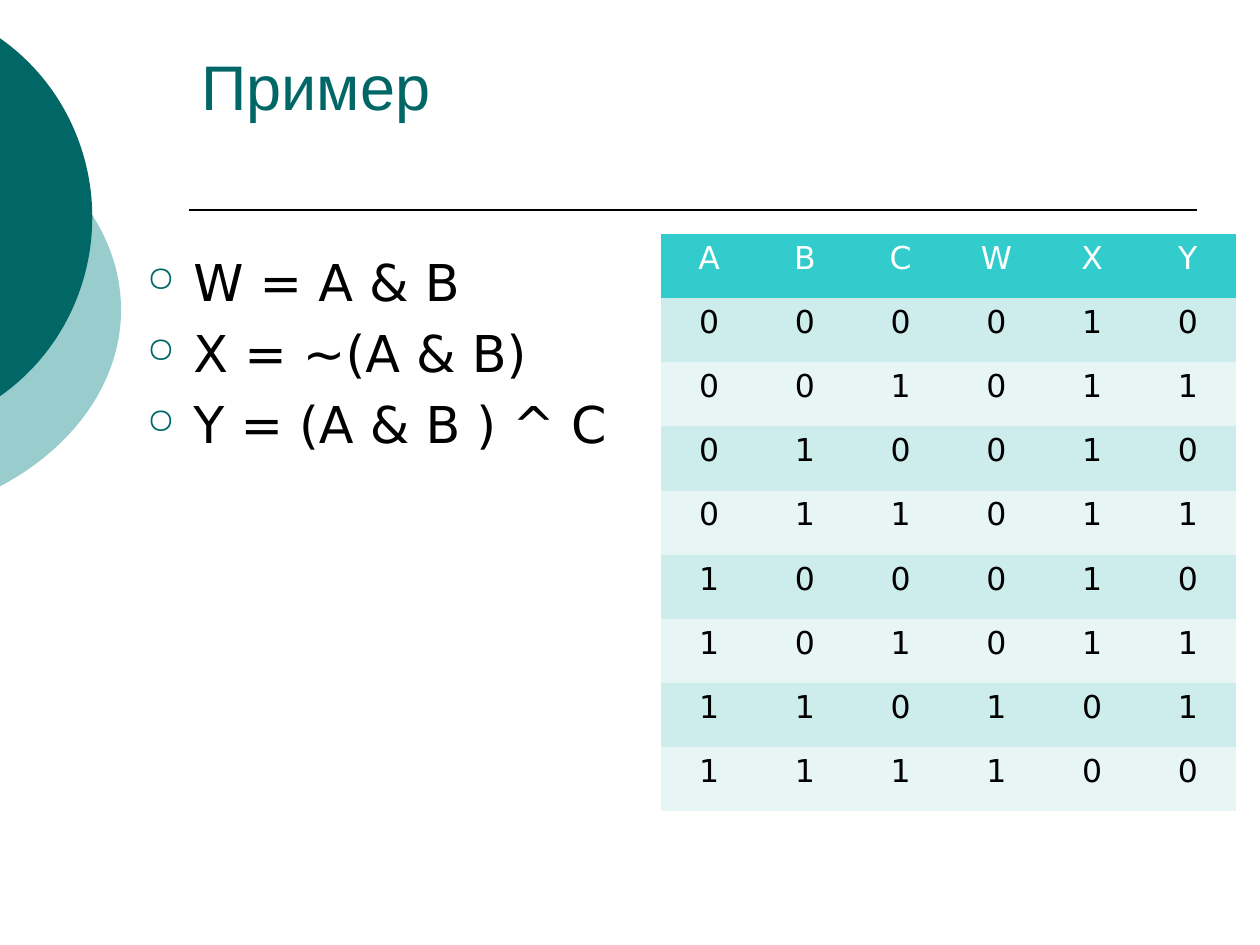
from dataclasses import dataclass
from itertools import product

from lxml import etree
from pptx import Presentation
from pptx.dml.color import RGBColor
from pptx.enum.shapes import MSO_CONNECTOR, MSO_SHAPE
from pptx.enum.text import MSO_ANCHOR, PP_ALIGN
from pptx.oxml.ns import qn
from pptx.util import Cm, Pt

OVAL = MSO_SHAPE.OVAL
LINE = MSO_CONNECTOR.STRAIGHT
TOP = MSO_ANCHOR.TOP
CENTER = PP_ALIGN.CENTER

TEAL = RGBColor(0x00, 0x66, 0x66)
MIST = RGBColor(0x99, 0xCC, 0xCC)
AQUA = RGBColor(0x33, 0xCC, 0xCC)
BANDS = (RGBColor(0xCD, 0xEC, 0xEC), RGBColor(0xE8, 0xF5, 0xF5))
BLACK = RGBColor(0x00, 0x00, 0x00)
WHITE = RGBColor(0xFF, 0xFF, 0xFF)

TITLE = {"name": "Arial", "size": Pt(36)}
BODY = {"name": "DejaVu Sans", "size": Pt(29)}
CELL = {"name": "DejaVu Sans", "size": Pt(18), "bold": False}
PLAIN = "{2D5ABB26-0587-4C30-8999-92F81FD0307C}"  # table style with no grid


@dataclass
class Disc:
    left: float
    top: float
    width: float
    height: float
    fill: RGBColor


@dataclass
class Box:
    left: float
    top: float
    width: float
    height: float
    lines: tuple[str, ...]
    style: dict
    color: RGBColor
    bullet: bool = False


DISCS = (
    Disc(-8.99, 1.9, 11.43, 8.69, MIST),
    Disc(-6.73, 0, 8.59, 8.76, TEAL),
)
BOXES = (
    Box(3.81, 0.84, 20.32, 3.18, ("Пример",), TITLE, TEAL),
    Box(2.69, 4.93, 10.29, 11.43,
        ("W = A & B", "X = ~(A & B)", "Y = (A & B ) ^ С"), BODY, BLACK, True),
)


def place(item: Disc | Box) -> list[Cm]:
    return [Cm(n) for n in (item.left, item.top, item.width, item.height)]


def draw_disc(slide, disc: Disc) -> None:
    shape = slide.shapes.add_shape(OVAL, *place(disc))
    shape.shadow.inherit = False
    shape.fill.solid()
    shape.fill.fore_color.rgb = disc.fill
    shape.line.fill.background()


def style_font(font, style: dict, color: RGBColor) -> None:
    for key, value in style.items():
        setattr(font, key, value)
    font.color.rgb = color


def add_bullet(para) -> None:
    props = para._p.get_or_add_pPr()
    props.set("marL", str(Cm(0.96)))
    props.set("indent", str(-Cm(0.94)))
    tint = etree.SubElement(props, qn("a:buClr"))
    etree.SubElement(tint, qn("a:srgbClr"), val=str(TEAL))
    etree.SubElement(props, qn("a:buSzPct"), val="70000")
    etree.SubElement(props, qn("a:buFont"), typeface="OpenSymbol")
    etree.SubElement(props, qn("a:buChar"), char="○")


def draw_box(slide, box: Box) -> None:
    frame = slide.shapes.add_textbox(*place(box)).text_frame
    frame.word_wrap = True
    frame.vertical_anchor = TOP
    for i, text in enumerate(box.lines):
        para = frame.add_paragraph() if i else frame.paragraphs[0]
        if box.bullet:
            add_bullet(para)
        if i:
            para.space_before = Pt(5.8)
        run = para.add_run()
        run.text = text
        style_font(run.font, box.style, box.color)


def draw_rule(slide) -> None:
    rule = slide.shapes.add_connector(LINE, Cm(3.81), Cm(4.24), Cm(24.13), Cm(4.24))
    rule.line.color.rgb = BLACK
    rule.line.width = Pt(1)
    etree.SubElement(rule._element.spPr, qn("a:effectLst"))


def truth_rows() -> list[tuple]:
    rows = [tuple("ABCWXY")]
    for a, b, c in product((0, 1), repeat=3):
        w = a & b
        rows.append((a, b, c, w, 1 - w, w ^ c))
    return rows


def draw_table(slide, rows: list[tuple]) -> None:
    grid = slide.shapes.add_table(len(rows), len(rows[0]), Cm(13.33), Cm(4.72),
                                  Cm(11.58), Cm(11.63)).table
    grid._tbl.tblPr.find(qn("a:tableStyleId")).text = PLAIN
    for i, row in enumerate(rows):
        fill = BANDS[(i - 1) % 2] if i else AQUA
        for j, value in enumerate(row):
            cell = grid.cell(i, j)
            cell.fill.solid()
            cell.fill.fore_color.rgb = fill
            para = cell.text_frame.paragraphs[0]
            para.alignment = CENTER
            run = para.add_run()
            run.text = str(value)
            style_font(run.font, CELL, BLACK if i else WHITE)


def main() -> None:
    deck = Presentation()
    deck.slide_width, deck.slide_height = Cm(25.4), Cm(19.05)
    slide = deck.slides.add_slide(deck.slide_layouts[6])

    # Backdrop
    for disc in DISCS:
        draw_disc(slide, disc)
    draw_rule(slide)

    # Title and formulas
    for box in BOXES:
        draw_box(slide, box)

    # Truth table
    draw_table(slide, truth_rows())

    deck.save("out.pptx")


if __name__ == "__main__":
    main()
